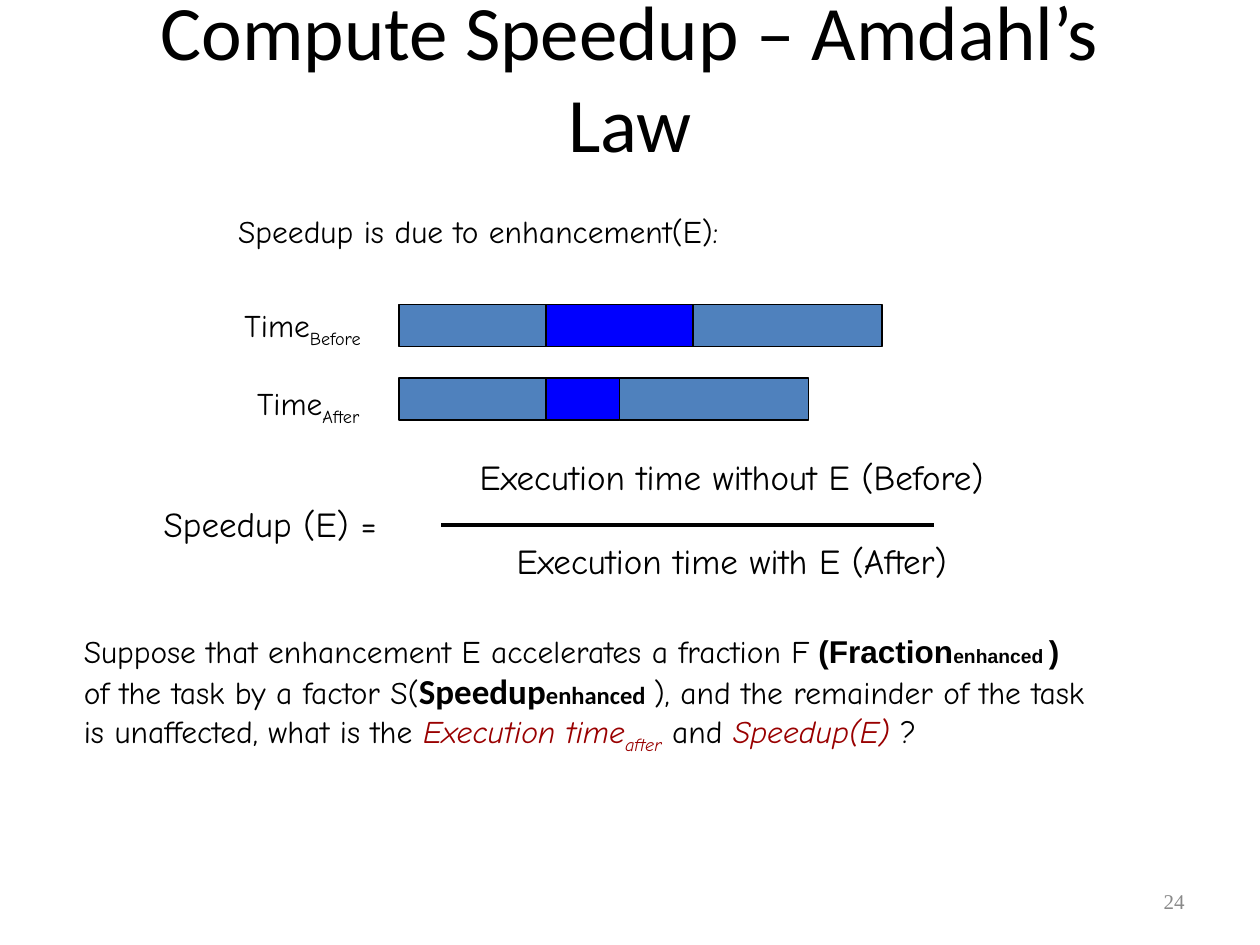
import pptx
import pptx.dml.color
import pptx.enum.shapes
import pptx.enum.text
import pptx.oxml.ns
import pptx.util
from lxml import etree

PX = 7620
BLACK, STEEL, BLUE, DARK_RED, GREY = "000000", "4F81BD", "0000FF", "990000", "898989"
ALIGN = pptx.enum.text.PP_ALIGN
ANCHOR = pptx.enum.text.MSO_ANCHOR
FIT = pptx.enum.text.MSO_AUTO_SIZE


def px(*lengths):
    """Turn px lengths into EMU."""
    return [pptx.util.Emu(length * PX) for length in lengths]


def rgb(value):
    """Return the colour of a hex string."""
    return pptx.dml.color.RGBColor.from_string(value)


def style(font, size=None, face=None, color=None, bold=None, italic=None):
    """Set the given properties of a font."""
    if size:
        font.size = pptx.util.Pt(size)
    if face:
        font.name = face
    if color:
        font.color.rgb = rgb(color)
    if bold is not None:
        font.bold = bold
    if italic is not None:
        font.italic = italic


def add_text(slide, box, lines, size=18, face="Comic Neue", color=BLACK,
             align=ALIGN.LEFT, anchor=ANCHOR.TOP, wrap=False, fit=True, gap=0):
    """Write lines, each a list of (text, overrides) runs, in a box."""
    frame = slide.shapes.add_textbox(*px(*box)).text_frame
    frame.word_wrap = wrap
    frame.vertical_anchor = anchor
    frame.auto_size = FIT.SHAPE_TO_FIT_TEXT if fit else FIT.NONE
    for index, line in enumerate(lines):
        paragraph = frame.add_paragraph() if index else frame.paragraphs[0]
        paragraph.alignment = align
        paragraph.space_before = pptx.util.Pt(gap if index else 0)
        style(paragraph.font, size, face, color)
        for text, overrides in line:
            run = paragraph.add_run()
            run.text = text
            changes = dict(overrides)
            if changes.pop("subscript", False):
                run._r.get_or_add_rPr().set("baseline", "-25000")
            style(run.font, **changes)


def add_time_bar(slide, box, label_box, subscript, parts):
    """Draw one execution time bar of (width, colour) parts with its label."""
    left, top, height = box
    for width, color in parts:
        part = slide.shapes.add_shape(
            pptx.enum.shapes.MSO_SHAPE.RECTANGLE, *px(left, top, width, height))
        part.shadow.inherit = False
        part.fill.solid()
        part.fill.fore_color.rgb = rgb(color)
        part.line.color.rgb = rgb(BLACK)
        part.line.width = pptx.util.Pt(0.75)
        left += width
    label_left, label_drop, label_width, label_height = label_box
    add_text(slide, (label_left, top + label_drop, label_width, label_height),
             [[("Time", {}), (subscript, {"subscript": True})]])


def add_speedup_formula(slide, left, top):
    """Write the speedup as a fraction of two execution times."""
    add_text(slide, (left, top + 45, 227, 53), [[("Speedup (E) =", {})]], size=20)
    add_text(slide, (left + 300, top, 506, 132),
             [[("Execution time without E (Before)", {})],
              [("Execution time with E (After)", {})]],
             size=20, align=ALIGN.CENTER, gap=24)
    fraction_bar = slide.shapes.add_connector(
        pptx.enum.shapes.MSO_CONNECTOR.STRAIGHT,
        *px(left + 276, top + 72, left + 746, top + 72))
    fraction_bar.line.color.rgb = rgb(BLACK)
    fraction_bar.line.width = pptx.util.Pt(2.25)
    etree.SubElement(fraction_bar._element.spPr, pptx.oxml.ns.qn("a:effectLst"))


def add_question(slide, box):
    """Write the question about the enhanced fraction."""
    arial = {"face": "Arial", "bold": True}
    calibri = {"face": "Calibri", "size": 20}
    red = {"color": DARK_RED, "italic": True}
    add_text(slide, box, [
        [("Suppose that enhancement E accelerates a fraction F", {}),
         (" (Fraction", arial), ("enhanced ", {**arial, "size": 11}), (")", arial)],
        [("of the task by a factor S(", {}),
         ("Speedup", {**calibri, "bold": True}),
         ("enhanced", {**calibri, "size": 14, "bold": True}),
         (" ", calibri), ("), and the remainder of the task", {})],
        [("is unaffected, what is the ", {}), ("Execution time", red),
         ("after", {**red, "subscript": True}), (" and ", {}),
         ("Speedup(E) ", red), ("?", {})],
    ], wrap=True)


def build_amdahl_slide(slide):
    """Place every region of the slide on Amdahl's law."""
    add_text(slide, (90, 20, 1020, 104), [[("Compute Speedup – Amdahl’s Law", {})]],
             size=44, face="Calibri", align=ALIGN.CENTER, anchor=ANCHOR.MIDDLE,
             wrap=True, fit=False)
    add_text(slide, (215, 196, 482, 48), [[("Speedup is due to enhancement(E):", {})]])
    add_time_bar(slide, (380, 290, 40), (221, -4, 136, 53), "Before",
                 [(140, STEEL), (140, BLUE), (180, STEEL)])
    add_time_bar(slide, (380, 360, 40), (233, 0, 121, 53), "After",
                 [(140, STEEL), (70, BLUE), (180, STEEL)])
    add_speedup_formula(slide, 144, 428)
    add_question(slide, (68, 596, 1081, 130))
    add_text(slide, (860, 834, 280, 48), [[("24", {})]], size=12,
             face="Times New Roman", color=GREY, align=ALIGN.RIGHT,
             anchor=ANCHOR.MIDDLE, wrap=True, fit=False)


def main():
    """Build the deck and save it."""
    deck = pptx.Presentation()
    deck.slide_width, deck.slide_height = px(1200, 900)
    build_amdahl_slide(deck.slides.add_slide(deck.slide_layouts[6]))
    deck.save("out.pptx")


if __name__ == "__main__":
    main()
